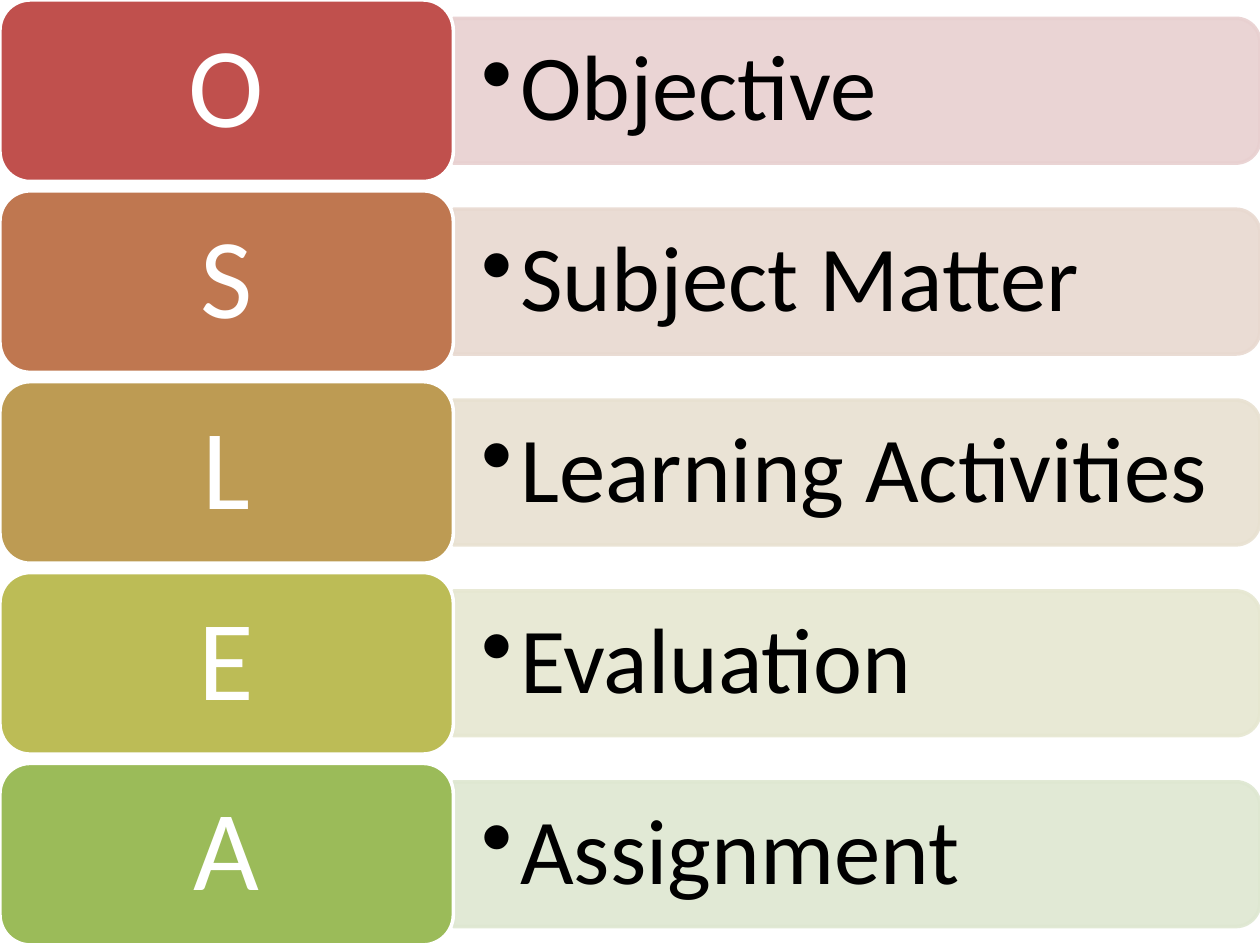
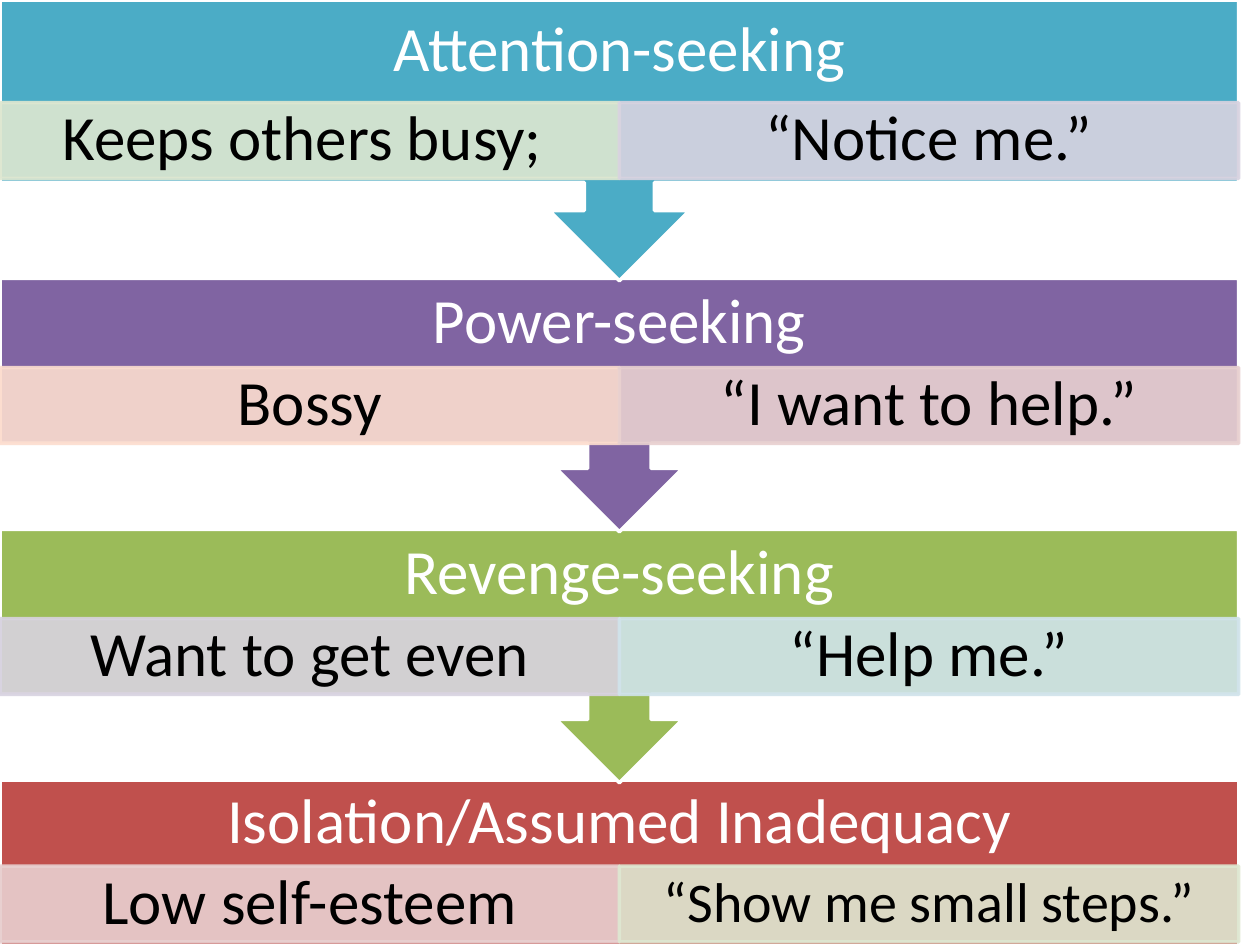
from collections import namedtuple
from lxml.etree import SubElement
from pptx import Presentation
from pptx.dml.color import RGBColor
from pptx.enum.shapes import MSO_SHAPE as Preset
from pptx.enum.text import MSO_ANCHOR as Anchor, PP_ALIGN as Align
from pptx.oxml.ns import qn
from pptx.util import Cm, Pt

Box = namedtuple("Box", "left top width height")

PAGE = Box(0, 0, 25.4, 19.05)
FONT = "Calibri"
WHITE, BLACK = "FFFFFF", "000000"
ROSE, SAGE, LILAC, SKY, PEACH = "E8D0D0", "DEE7D1", "D8D3E0", "D0E3EA", "FCDDCF"

PLAN_ROWS = [
    ("O", "Objective", "C0504D", ROSE),
    ("S", "Subject Matter", "BF7750", "E8D9D0"),
    ("L", "Learning Activities", "BD9B53", "E8E1D1"),
    ("E", "Evaluation", "BCBC56", "E6E7D1"),
    ("A", "Assignment", "9BBB59", SAGE),
]
LETTER_WIDTH, LETTER_HEIGHT = 9.14, 3.66
BAND_HEIGHT, BULLET_INDENT = 2.92, 0.79

FIRST_STAGE = Box(0, 0, 24.97, 5.66)
STAGE_TOP, STAGE_STEP, STAGE_HEIGHT = 5.61, 5.06, 5.11
LAST_HEIGHT, CELL_HEIGHT = 3.33, 1.53
STAGES = [
    ("Attention-seeking", "4BACC6", 2.07,
     [("Keeps others busy; ", SAGE, 36), ("“Notice me.”", LILAC, 36)]),
    ("Power-seeking", "8064A2", 1.8,
     [("Bossy", PEACH, 36), ("“I want to help.”", ROSE, 36)]),
    ("Revenge-seeking", "9BBB59", 1.8,
     [("Want to get even", LILAC, 36), ("“Help me.”", SKY, 36)]),
    ("Isolation/Assumed Inadequacy", "C0504D", 1.73,
     [("Low self-esteem", ROSE, 36), ("“Show me small steps.”", SAGE, 32)]),
]


def colour(code):
    return RGBColor.from_string(code)


def set_all(target, values):
    for name, value in values.items():
        setattr(target, name, value)


def lengths(box):
    return [Cm(value) for value in box]


def add_block(page, preset, box, fill, line, rotation=0, opacity=100):
    shape = page.shapes.add_shape(preset, *lengths(box))
    shape.shadow.inherit = False
    shape.rotation = rotation
    shape.fill.solid()
    shape.fill.fore_color.rgb = colour(fill)
    shape.line.color.rgb = colour(line)
    shape.line.width = Pt(2)
    if opacity < 100:
        for tint in shape._element.spPr.iter(qn("a:srgbClr")):
            SubElement(tint, qn("a:alpha"), val=str(opacity * 1000))
    return shape


def write(shape, text, size, code, side=0.7, bullet=False):
    frame = shape.text_frame
    set_all(frame, {
        "word_wrap": True, "vertical_anchor": Anchor.MIDDLE,
        "margin_left": Cm(side), "margin_right": Cm(side),
        "margin_top": Cm(0.1), "margin_bottom": Cm(0.1),
    })
    para = frame.paragraphs[0]
    if bullet:
        props = para._p.get_or_add_pPr()
        props.set("marL", str(Cm(BULLET_INDENT)))
        props.set("indent", str(-Cm(BULLET_INDENT)))
        SubElement(props, qn("a:buChar"), char="•")
    set_all(para, {"alignment": Align.LEFT if bullet else Align.CENTER, "line_spacing": 0.9})
    span = para.add_run()
    span.text = text
    set_all(span.font, {"name": FONT, "size": Pt(size)})
    span.font.color.rgb = colour(code)


def add_plan_row(page, box, letter, label, fill, tint):
    band_left = box.left + LETTER_WIDTH
    band_width = box.width - LETTER_WIDTH
    middle = box.top + box.height / 2
    upright = Box(band_left + (band_width - BAND_HEIGHT) / 2, middle - band_width / 2,
                  BAND_HEIGHT, band_width)
    add_block(page, Preset.ROUND_2_SAME_RECTANGLE, upright, tint, tint, 90, 90)
    label_box = Box(band_left, middle - 1.32, band_width - 0.15, 2.64)
    write(page.shapes.add_textbox(*lengths(label_box)), label, 53, BLACK, 0.56, True)
    letter_box = Box(box.left, box.top, LETTER_WIDTH, box.height)
    key = add_block(page, Preset.ROUNDED_RECTANGLE, letter_box, fill, WHITE)
    write(key, letter, 65, WHITE)


def add_stage(page, box, last, heading, fill, head_height, cells):
    if last:
        add_block(page, Preset.RECTANGLE, box, fill, WHITE)
    else:
        add_block(page, Preset.UP_ARROW_CALLOUT, box, fill, WHITE, 180)
    head_box = Box(box.left, box.top, box.width, head_height)
    write(page.shapes.add_textbox(*lengths(head_box)), heading, 36, WHITE)
    width = box.width / len(cells)
    for column, (text, tint, size) in enumerate(cells):
        cell_box = Box(box.left + column * width, box.top + head_height, width, CELL_HEIGHT)
        cell = add_block(page, Preset.RECTANGLE, cell_box, tint, tint, opacity=90)
        write(cell, text, size, BLACK)


def build_plan(page):
    step = (PAGE.height - LETTER_HEIGHT) / (len(PLAN_ROWS) - 1)
    for index, row in enumerate(PLAN_ROWS):
        add_plan_row(page, Box(0, index * step, PAGE.width, LETTER_HEIGHT), *row)


def build_stages(page):
    final = len(STAGES) - 1
    for index in range(final, -1, -1):
        box = FIRST_STAGE
        if index:
            box = Box(0, STAGE_TOP + (index - 1) * STAGE_STEP, FIRST_STAGE.width,
                      LAST_HEIGHT if index == final else STAGE_HEIGHT)
        add_stage(page, box, index == final, *STAGES[index])


def main():
    deck = Presentation()
    set_all(deck, {"slide_width": Cm(PAGE.width), "slide_height": Cm(PAGE.height)})
    blank = deck.slide_layouts[6]
    for build in (build_plan, build_stages):
        build(deck.slides.add_slide(blank))
    deck.save("out.pptx")


if __name__ == "__main__":
    main()
